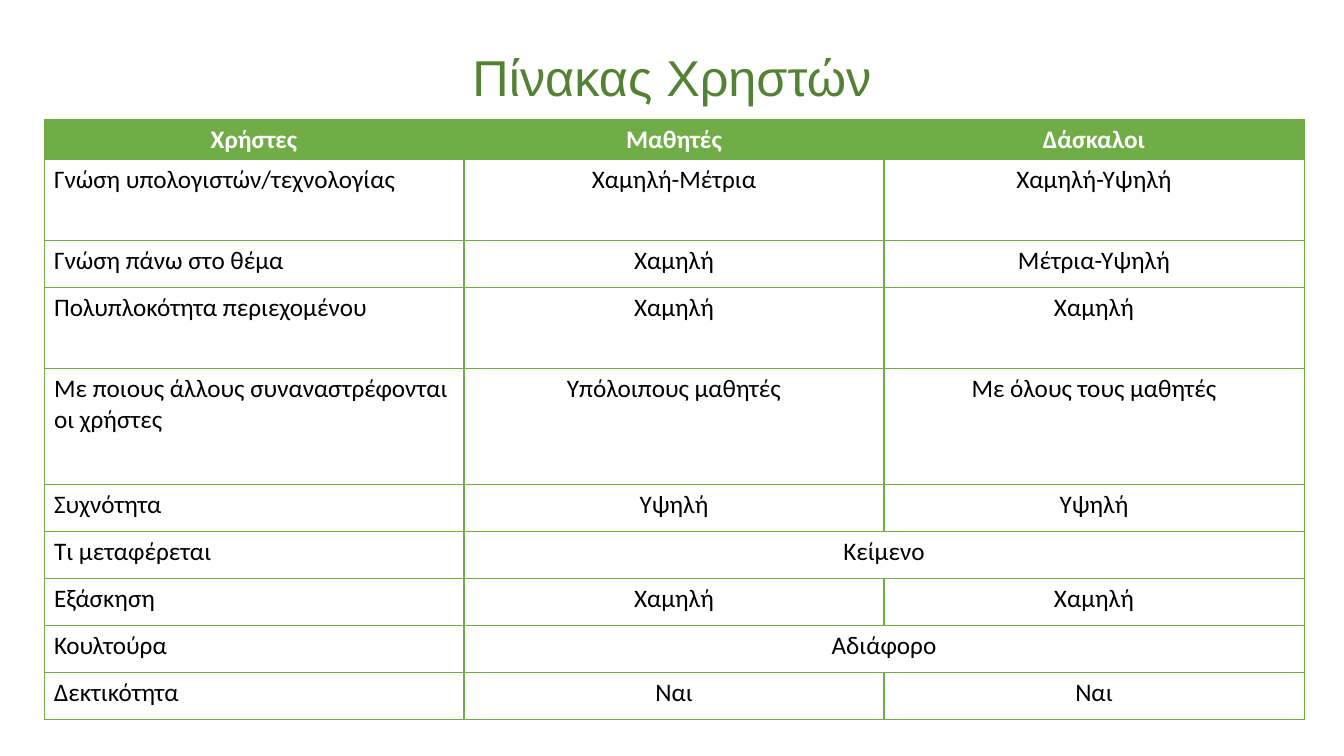
from dataclasses import dataclass

from lxml.etree import SubElement
from pptx import Presentation
from pptx.dml.color import RGBColor
from pptx.enum.text import PP_ALIGN
from pptx.oxml.ns import qn
from pptx.util import Emu, Pt

EMU_PER_PX = 914400 / 100.8
WHITE = RGBColor(0xFF, 0xFF, 0xFF)
BLACK = RGBColor(0x00, 0x00, 0x00)
GREEN = RGBColor(0x70, 0xAD, 0x47)
DARK_GREEN = RGBColor(0x54, 0x82, 0x35)
THIN, THICK = Pt(0.5), Pt(2.25)
COLUMN_COUNT, COLUMN_WIDTH = 3, 420


@dataclass(frozen=True)
class TableRow:
    height: int
    texts: tuple[str, ...]  # two texts: the second spans the last two columns
    header: bool = False


ROWS = [
    TableRow(40, ("Χρήστες", "Μαθητές", "Δάσκαλοι"), header=True),
    TableRow(81, ("Γνώση υπολογιστών/τεχνολογίας", "Χαμηλή-Μέτρια", "Χαμηλή-Υψηλή")),
    TableRow(47, ("Γνώση πάνω στο θέμα", "Χαμηλή", "Μέτρια-Υψηλή")),
    TableRow(81, ("Πολυπλοκότητα περιεχομένου", "Χαμηλή", "Χαμηλή")),
    TableRow(116, ("Με ποιους άλλους συναναστρέφονται οι χρήστες",
                   "Υπόλοιπους μαθητές", "Με όλους τους μαθητές")),
    TableRow(47, ("Συχνότητα", "Υψηλή", "Υψηλή")),
    TableRow(47, ("Τι μεταφέρεται", "Κείμενο")),
    TableRow(47, ("Εξάσκηση", "Χαμηλή", "Χαμηλή")),
    TableRow(47, ("Κουλτούρα", "Αδιάφορο")),
    TableRow(47, ("Δεκτικότητα", "Ναι", "Ναι")),
]


def px(length: int) -> Emu:
    return Emu(round(length * EMU_PER_PX))


def write(text_frame, text: str, font_name: str, size: int, color: RGBColor,
          alignment: PP_ALIGN, bold: bool = False) -> None:
    paragraph = text_frame.paragraphs[0]
    paragraph.alignment = alignment
    run = paragraph.add_run()
    run.text = text
    run.font.name = font_name
    run.font.size = Pt(size)
    run.font.bold = bold
    run.font.color.rgb = color


def set_borders(cell, left: int, right: int) -> None:
    properties = cell._tc.get_or_add_tcPr()
    widths = {"a:lnL": left, "a:lnR": right, "a:lnT": THIN, "a:lnB": THIN}
    # Border lines come before the fill
    for position, (tag, width) in enumerate(widths.items()):
        line = SubElement(properties, qn(tag), w=str(int(width)))
        fill = SubElement(line, qn("a:solidFill"))
        SubElement(fill, qn("a:srgbClr"), val=str(GREEN))
        properties.insert(position, line)


def add_title(slide) -> None:
    title = slide.shapes.add_textbox(px(0), px(41), px(1344), px(72))
    title.text_frame.word_wrap = True
    write(title.text_frame, "Πίνακας Χρηστών", "Arial", 36, DARK_GREEN, PP_ALIGN.CENTER)


def fill_row(table, row_index: int, row: TableRow) -> None:
    table.rows[row_index].height = px(row.height)
    last_text = len(row.texts) - 1
    if len(row.texts) < COLUMN_COUNT:
        table.cell(row_index, last_text).merge(table.cell(row_index, COLUMN_COUNT - 1))
    for column, text in enumerate(row.texts):
        cell = table.cell(row_index, column)
        if row.header:
            cell.fill.solid()
            cell.fill.fore_color.rgb = GREEN
        else:
            cell.fill.background()
        set_borders(cell, THICK if column else THIN,
                    THICK if column < last_text else THIN)
        centred = row.header or column > 0
        write(cell.text_frame, text, "Calibri", 18, WHITE if row.header else BLACK,
              PP_ALIGN.CENTER if centred else PP_ALIGN.LEFT, row.header)


def add_user_table(slide) -> None:
    height = sum(row.height for row in ROWS)
    frame = slide.shapes.add_table(len(ROWS), COLUMN_COUNT, px(44), px(119),
                                   px(COLUMN_COUNT * COLUMN_WIDTH), px(height))
    table = frame.table
    table.horz_banding = False
    for column in table.columns:
        column.width = px(COLUMN_WIDTH)
    for row_index, row in enumerate(ROWS):
        fill_row(table, row_index, row)


def main() -> None:
    presentation = Presentation()
    presentation.slide_width = px(1344)
    presentation.slide_height = px(756)
    slide = presentation.slides.add_slide(presentation.slide_layouts[6])
    add_title(slide)
    add_user_table(slide)
    presentation.save("out.pptx")


if __name__ == "__main__":
    main()
